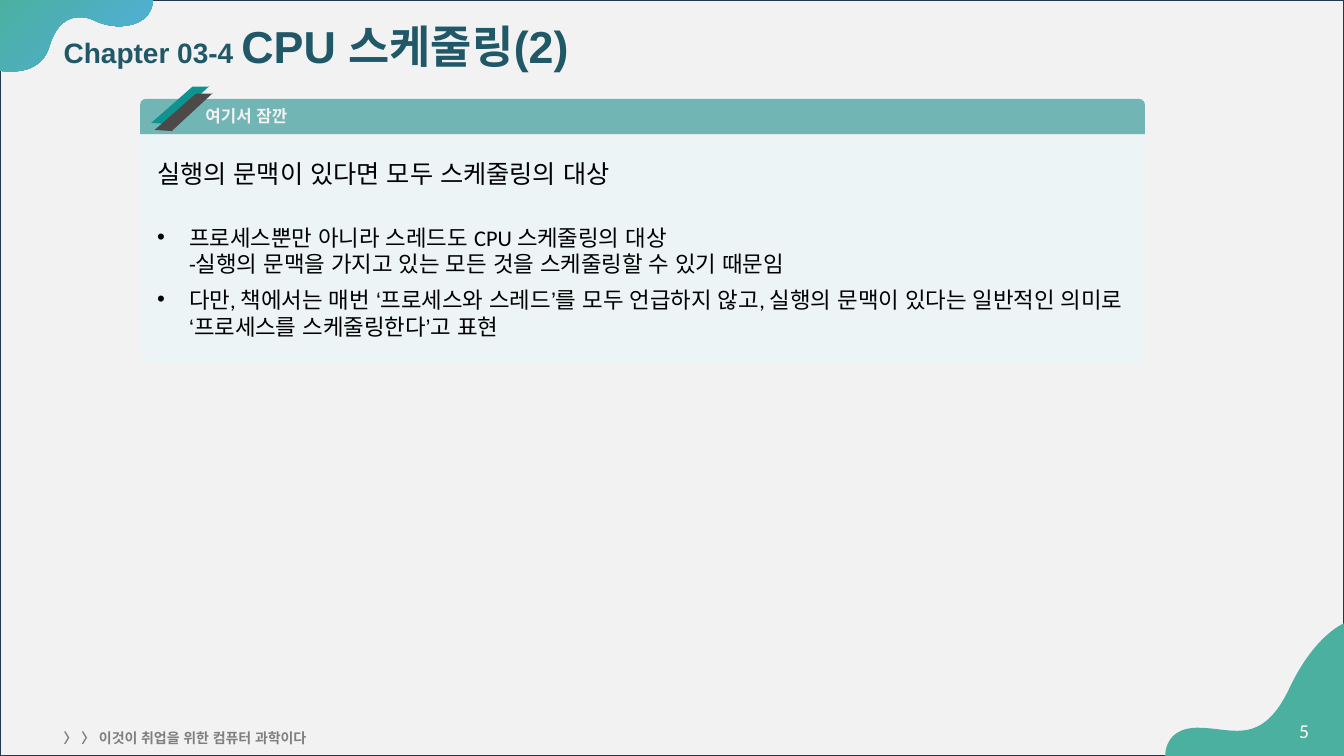
from dataclasses import dataclass

from lxml.etree import SubElement
from pptx import Presentation
from pptx.dml.color import RGBColor
from pptx.enum.shapes import MSO_SHAPE
from pptx.enum.text import MSO_ANCHOR, MSO_AUTO_SIZE, PP_ALIGN
from pptx.oxml.ns import qn
from pptx.util import Pt

COLORS = {
    "page": "F2F2F2", "frame": "21364F", "corner": "4BB0A0", "sky": "52AEE1",
    "title": "205867", "white": "FFFFFF", "footer": "7F7F7F", "panel": "ECF4F5",
    "header": "71B5B5", "slash": "0F9391", "slash_shade": "4C4948", "text": "000000",
}


@dataclass
class Bar:
    left: float
    top: float
    width: float
    height: float
    color: str
    top_round: float
    bottom_round: float


@dataclass
class Outline:
    start: tuple
    segments: list
    color: str
    end_color: str = ""


@dataclass
class Label:
    left: float
    top: float
    width: float
    height: float
    text: str
    size: float
    color: str
    bold: bool = False


def rgb(name: str) -> RGBColor:
    return RGBColor.from_string(COLORS[name])


def fill_shape(shape, color: str) -> None:
    shape.shadow.inherit = False
    shape.fill.solid()
    shape.fill.fore_color.rgb = rgb(color)
    shape.line.fill.background()


def add_span(para, text: str, size: float, color: str, bold: bool = False,
             font: str = "Calibri") -> None:
    span = para.add_run()
    span.text = text
    span.font.name = font
    span.font.size = Pt(size)
    span.font.bold = bold
    span.font.color.rgb = rgb(color)
    SubElement(span.font._element, qn("a:ea")).set("typeface", "Arial")


def place(shape, left: float, top: float, width: float, height: float) -> None:
    shape.left, shape.top = Pt(left), Pt(top)
    shape.width, shape.height = Pt(width), Pt(height)


def draw_bar(page, bar: Bar) -> None:
    shape = page.shapes.add_shape(MSO_SHAPE.ROUND_2_SAME_RECTANGLE, Pt(bar.left),
                                  Pt(bar.top), Pt(bar.width), Pt(bar.height))
    shape.adjustments[0] = bar.top_round
    shape.adjustments[1] = bar.bottom_round
    fill_shape(shape, bar.color)


def bend_segments(shape, segments: list) -> None:
    edges = list(shape.element.iter(qn("a:lnTo")))
    for edge, segment in zip(edges, segments):
        if len(segment) == 6:
            edge.tag = qn("a:cubicBezTo")
            for index, (x, y) in enumerate((segment[:2], segment[2:4])):
                control = SubElement(edge, qn("a:pt"))
                control.set("x", str(Pt(x) - shape.left))
                control.set("y", str(Pt(y) - shape.top))
                edge.insert(index, control)


def draw_outline(page, outline: Outline) -> None:
    builder = page.shapes.build_freeform(*map(Pt, outline.start))
    builder.add_line_segments([tuple(map(Pt, segment[-2:])) for segment in outline.segments],
                              close=True)
    shape = builder.convert_to_shape()
    bend_segments(shape, outline.segments)
    fill_shape(shape, outline.color)
    if outline.end_color:
        shape.fill.gradient()
        shape.fill.gradient_angle = 315
        for stop, color in zip(shape.fill.gradient_stops, (outline.color, outline.end_color)):
            stop.color.rgb = rgb(color)


def draw_label(page, label: Label) -> None:
    box = page.shapes.add_textbox(Pt(label.left), Pt(label.top),
                                  Pt(label.width), Pt(label.height))
    box.text_frame.word_wrap = True
    add_span(box.text_frame.paragraphs[0], label.text, label.size, label.color, label.bold)


def set_bullet(para, indent: float, bullet: str = "") -> None:
    properties = para._p.get_or_add_pPr()
    properties.set("marL", str(Pt(indent)))
    properties.set("indent", str(-Pt(indent)))
    if bullet:
        bullet_color = SubElement(properties, qn("a:buClr"))
        SubElement(bullet_color, qn("a:srgbClr")).set("val", COLORS["text"])
        SubElement(properties, qn("a:buFont")).set("typeface", "Arial")
        SubElement(properties, qn("a:buChar")).set("char", bullet)
    else:
        SubElement(properties, qn("a:buNone"))


def write_title(title) -> None:
    place(title, 38.2, 8.6, 888.5, 52.6)
    frame = title.text_frame
    frame.word_wrap = True
    frame.auto_size = MSO_AUTO_SIZE.NONE
    frame.vertical_anchor = MSO_ANCHOR.MIDDLE
    para = frame.paragraphs[0]
    para.alignment = PP_ALIGN.LEFT
    para.line_spacing = 0.9
    add_span(para, "Chapter 03-4 ", 20, "title", True, "Arial")
    add_span(para, "CPU 스케줄링(2)", 32, "title", True, "Arial")


def write_body(body) -> None:
    place(body, 105.1, 109.4, 712.8, 138.2)
    frame = body.text_frame
    frame.word_wrap = True
    frame.auto_size = MSO_AUTO_SIZE.NONE
    frame.vertical_anchor = MSO_ANCHOR.TOP
    heading = frame.paragraphs[0]
    set_bullet(heading, 0)
    heading.space_before = Pt(0)
    add_span(heading, "실행의 문맥이 있다면 모두 스케줄링의 대상", 18, "text")
    for lines, gap in BULLETS:
        para = frame.add_paragraph()
        set_bullet(para, 22.8, "•")
        para.space_before = Pt(gap)
        for number, line in enumerate(lines):
            if number:
                para.add_line_break()
            add_span(para, line, 16, "text")


BULLETS = [
    (["프로세스뿐만 아니라 스레드도 CPU 스케줄링의 대상",
      "-실행의 문맥을 가지고 있는 모든 것을 스케줄링할 수 있기 때문임"], 25.2),
    (["다만, 책에서는 매번 ‘프로세스와 스레드’를 모두 언급하지 않고, 실행의 문맥이 있다는 "
      "일반적인 의미로 ‘프로세스를 스케줄링한다’고 표현"], 6),
]
CORNERS = [
    Outline((109.4, -1.4), [
        (-0.7, -1.4), (-0.7, 50.4), (-0.7, 50.4, 2.9, 51.1, 7.9, 51.1),
        (17.3, 51.1, 31, 48.2, 35.3, 33.1), (40.3, 16.6, 49, 12.2, 56.9, 12.2),
        (60.5, 12.2, 64.1, 13, 67, 14.4), (72.7, 17.3, 79.2, 18.7, 85, 18.7),
        (98.6, 18.7, 109.4, 12.2, 109.4, -1.4)], "corner", "sky"),
    Outline((960.5, 445), [
        (960.5, 445, 938.9, 452.9, 920.2, 493.2), (908.6, 517, 896.4, 522, 883.4, 522),
        (874.8, 522, 865.4, 519.8, 855.4, 519.8),
        (830.9, 519.8, 832.3, 540.5, 832.3, 540.5), (960.5, 540.5)], "corner"),
]
BARS = [
    Bar(100.1, 95.8, 717.8, 164.2, "panel", 0, 0.054),
    Bar(100.1, 70.6, 717.8, 25.2, "header", 0.167, 0),
]
SLASH = [(149.8, 61.2), (120.2, 88.6), (108, 87.8), (137.5, 61.9), (149, 61.9)]
SLASH_LAYERS = [("slash", 0, 0), ("slash_shade", 2.5, 5)]
LABELS = [
    Label(920.9, 509.8, 31.7, 28.8, "5", 14, "white"),
    Label(38.2, 517.7, 324, 17.3, "〉 〉 이것이 취업을 위한 컴퓨터 과학이다", 10, "footer", True),
    Label(139.7, 72, 79.2, 21.6, "여기서 잠깐", 12, "page", True),
]


def main() -> None:
    deck = Presentation()
    deck.slide_width, deck.slide_height = Pt(960), Pt(540)
    page = deck.slides.add_slide(deck.slide_layouts[1])
    title, body = page.placeholders
    backdrop = page.shapes.add_shape(MSO_SHAPE.RECTANGLE, 0, 0, Pt(960), Pt(540))
    fill_shape(backdrop, "page")
    backdrop.line.color.rgb = rgb("frame")
    backdrop.line.width = Pt(1)
    for outline in CORNERS:
        draw_outline(page, outline)
    for bar in BARS:
        draw_bar(page, bar)
    for color, right, down in SLASH_LAYERS:
        points = [(x + right, y + down) for x, y in SLASH]
        draw_outline(page, Outline(points[0], points[1:], color))
    for label in LABELS:
        draw_label(page, label)
    write_title(title)
    write_body(body)
    for placeholder in (title, body):
        page.shapes.element.append(placeholder.element)
    deck.save("out.pptx")


if __name__ == "__main__":
    main()
